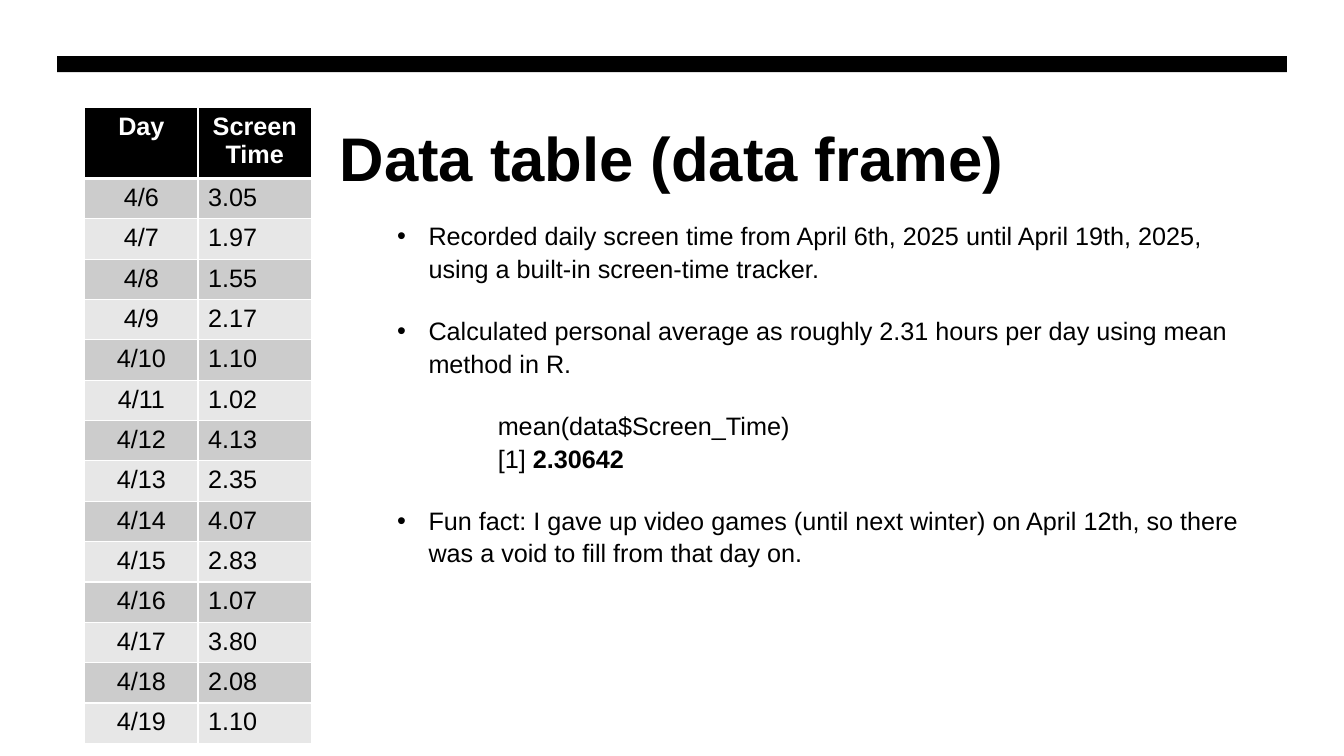
import pptx
import pptx.dml.color
import pptx.enum.shapes
import pptx.enum.text
import pptx.oxml
import pptx.oxml.ns
import pptx.util

Pt = pptx.util.Pt
Align = pptx.enum.text.PP_ALIGN
BLACK = pptx.dml.color.RGBColor(0x00, 0x00, 0x00)
WHITE = pptx.dml.color.RGBColor(0xFF, 0xFF, 0xFF)
DARK_BAND = pptx.dml.color.RGBColor(0xCC, 0xCC, 0xCC)
LIGHT_BAND = pptx.dml.color.RGBColor(0xE7, 0xE7, 0xE7)

SCREEN_TIMES = ["3.05", "1.97", "1.55", "2.17", "1.10", "1.02", "4.13",
                "2.35", "4.07", "2.83", "1.07", "3.80", "2.08", "1.10"]
FIRST_DAY = 6

NOTES = [
    ("bullet", 0, [("Recorded daily screen time from April 6th, 2025 until April 19th, 2025, "
                    "using a built-in screen-time tracker.", False)]),
    ("bullet", 21.6, [("Calculated personal average as roughly 2.31 hours per day "
                       "using mean method in R.", False)]),
    ("code", 21.6, [("mean(data$Screen_Time)", False)]),
    ("code", 0, [("[1] ", False), ("2.30642", True)]),
    ("bullet", 21.6, [("Fun fact: I gave up video games (until next winter) on April 12th, "
                       "so there was a void to fill from that day on.", False)]),
]


class SlideBuilder:
    font = "Arial"
    body_size = 18
    title_size = 44
    line_spacing = 1.07

    def __init__(self, slide):
        self.slide = slide

    def add_run(self, paragraph, text, size, color=BLACK, bold=False):
        run = paragraph.add_run()
        run.text = text
        run.font.name = self.font
        run.font.size = Pt(size)
        run.font.bold = bold
        run.font.color.rgb = color

    def bar(self, left, top, width, height):
        rule = self.slide.shapes.add_shape(
            pptx.enum.shapes.MSO_SHAPE.RECTANGLE, Pt(left), Pt(top), Pt(width), Pt(height))
        rule.shadow.inherit = False
        rule.fill.solid()
        rule.fill.fore_color.rgb = BLACK
        rule.line.fill.background()

    def text_frame(self, left, top, width, height):
        frame = self.slide.shapes.add_textbox(
            Pt(left), Pt(top), Pt(width), Pt(height)).text_frame
        frame.word_wrap = True
        return frame

    def title(self, text, left, top, width, height):
        frame = self.text_frame(left, top, width, height)
        frame.margin_top = Pt(9)
        heading = frame.paragraphs[0]
        heading.alignment = Align.CENTER
        self.add_run(heading, text, self.title_size, bold=True)

    def notes(self, notes, left, top, width, height):
        frame = self.text_frame(left, top, width, height)
        for index, (kind, gap, runs) in enumerate(notes):
            note = frame.paragraphs[0] if index == 0 else frame.add_paragraph()
            note.line_spacing = self.line_spacing
            note.space_before = Pt(gap)
            for text, bold in runs:
                self.add_run(note, text, self.body_size, bold=bold)
            properties = note._p.get_or_add_pPr()
            if kind == "bullet":
                properties.set("marL", str(Pt(22.5)))
                properties.set("indent", str(-Pt(22.5)))
                namespace = pptx.oxml.ns.nsdecls("a")
                properties.append(pptx.oxml.parse_xml(f'<a:buFont {namespace} typeface="Arial"/>'))
                properties.append(pptx.oxml.parse_xml(f'<a:buChar {namespace} char="•"/>'))
            else:
                properties.set("marL", str(Pt(72)))

    def cell(self, cell, text, fill, color, bold, alignment, edges):
        properties = cell._tc.get_or_add_tcPr()
        for side, weight in edges.items():
            properties.append(pptx.oxml.parse_xml(
                f'<a:ln{side} {pptx.oxml.ns.nsdecls("a")} w="{Pt(weight)}">'
                f'<a:solidFill><a:srgbClr val="{WHITE}"/></a:solidFill></a:ln{side}>'))
        cell.fill.solid()
        cell.fill.fore_color.rgb = fill
        entry = cell.text_frame.paragraphs[0]
        entry.alignment = alignment
        self.add_run(entry, text, self.body_size, color, bold)

    def table(self, rows, left, top, column_width, header_height, row_height):
        height = header_height + row_height * (len(rows) - 1)
        grid = self.slide.shapes.add_table(
            len(rows), len(rows[0]), Pt(left), Pt(top),
            Pt(column_width * len(rows[0])), Pt(height)).table
        for column in grid.columns:
            column.width = Pt(column_width)
        for row_index, values in enumerate(rows):
            header = row_index == 0
            grid.rows[row_index].height = Pt(header_height if header else row_height)
            band = DARK_BAND if row_index % 2 else LIGHT_BAND
            edges = {"L": 1, "R": 1, "T": 3 if row_index == 1 else 1, "B": 3 if header else 1}
            for column_index, value in enumerate(values):
                centered = header or column_index == 0
                self.cell(grid.cell(row_index, column_index), value,
                          BLACK if header else band, WHITE if header else BLACK, header,
                          Align.CENTER if centered else Align.LEFT, edges)


def main():
    presentation = pptx.Presentation()
    presentation.slide_width = Pt(960)
    presentation.slide_height = Pt(540)
    builder = SlideBuilder(presentation.slides.add_slide(presentation.slide_layouts[6]))

    days = [(f"4/{day}", hours) for day, hours in enumerate(SCREEN_TIMES, FIRST_DAY)]
    builder.bar(40.8, 40.2, 878.4, 11.4)
    builder.title("Data table (data frame)", 40.8, 77, 878.4, 115)
    builder.table([("Day", "Screen Time")] + days, 60.5, 77, 81, 46.4, 26.6)
    builder.notes(NOTES, 276.5, 152.6, 627, 247)
    presentation.save("out.pptx")


if __name__ == "__main__":
    main()
